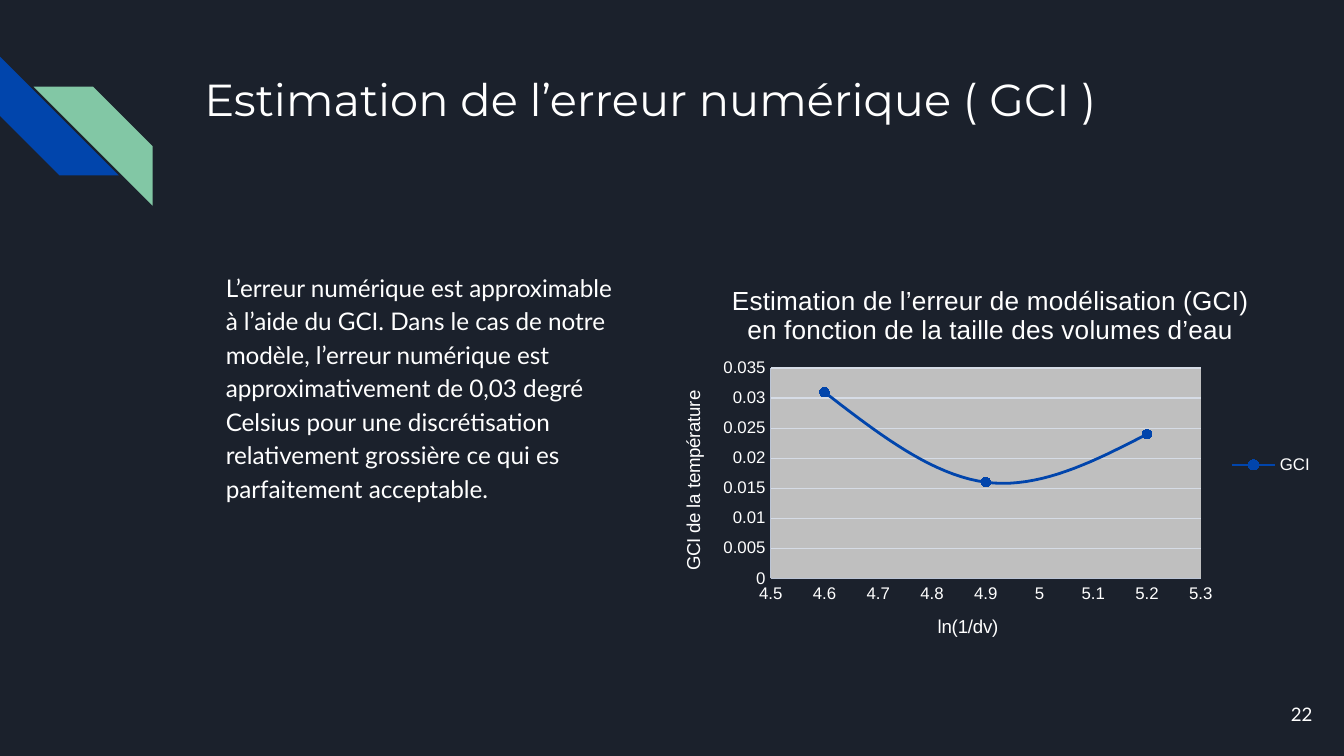
from dataclasses import dataclass

from lxml import etree
from pptx import Presentation
from pptx import util as u
from pptx.chart.data import XyChartData
from pptx.dml.color import RGBColor
from pptx.enum import chart as ch, shapes, text
from pptx.oxml import parse_xml
from pptx.oxml.ns import nsdecls, qn

SCALE = 4572  # EMU per px, 200 px to the inch


@dataclass(frozen=True)
class Theme:
    back: str = "1B212C"
    ink: str = "FFFFFF"
    blue: str = "0145AC"
    green: str = "82C7A5"
    plot: str = "BFBFBF"
    axis: str = "BBC4D5"
    grid: str = "D6DCE6"
    head: str = "Montserrat"
    body: str = "Lato"
    data: str = "Arial"
    title: int = 24
    para: int = 13
    page: int = 10
    chart: int = 14
    label: int = 10
    tick: int = 9


T = Theme()


def px(*vals):
    return [u.Emu(v * SCALE) for v in vals]


def paint(fill, color):
    fill.solid()
    fill.fore_color.rgb = RGBColor.from_string(color)


def style(font, face, size):
    font.name, font.size, font.bold = face, u.Pt(size), False
    font.color.rgb = RGBColor.from_string(T.ink)


def stroke(line, color, width):
    paint(line.fill, color)
    line.width = u.Pt(width)


def write(para, words, face, size):
    run = para.add_run()
    run.text = words
    style(run.font, face, size)


def frame(shape, box, anchor=text.MSO_ANCHOR.TOP):
    """Move a text shape to its box and return its text frame with even insets."""
    shape.left, shape.top, shape.width, shape.height = px(*box)
    tf = shape.text_frame
    tf.word_wrap = True
    tf.auto_size = text.MSO_AUTO_SIZE.NONE
    tf.vertical_anchor = anchor
    tf.margin_left, tf.margin_top, tf.margin_right, tf.margin_bottom = px(20, 20, 20, 20)
    return tf


def stripes(slide, box):
    left, top, size = box
    for dx, dy, turn, color in ((0, 0, 270, T.blue), (50, 45, 90, T.green)):
        band = slide.shapes.add_shape(
            shapes.MSO_SHAPE.DIAGONAL_STRIPE, *px(left + dx, top + dy, size, size))
        band.rotation = turn
        band.shadow.inherit = False
        paint(band.fill, color)
        band.line.fill.background()


def title(slide, box, words):
    para = frame(slide.shapes.title, box).paragraphs[0]
    para.alignment = text.PP_ALIGN.LEFT
    write(para, words, T.head, T.title)


def body(slide, box, paras):
    tf = frame(slide.placeholders[1], box)
    for i, words in enumerate(paras):
        para = tf.add_paragraph() if i else tf.paragraphs[0]
        para.alignment = text.PP_ALIGN.LEFT
        para.line_spacing = 1.15
        para.space_before = para.space_after = u.Pt(0)
        props = para._p.get_or_add_pPr()
        props.set("marL", str(32 * SCALE))
        props.set("indent", "0")
        etree.SubElement(props, qn("a:buNone"))
        write(para, words, T.body, T.para)


def number(slide, box, words):
    note = slide.shapes.add_textbox(*px(*box))
    para = frame(note, box, text.MSO_ANCHOR.MIDDLE).paragraphs[0]
    para.alignment = text.PP_ALIGN.RIGHT
    write(para, words, T.body, T.page)


def caption(owner, words, size):
    """Give a chart or an axis its title."""
    tf = owner.text_frame
    write(tf.paragraphs[0], words, T.data, size)
    return tf


def scale(axis, words, low, high, step):
    axis.minimum_scale, axis.maximum_scale, axis.major_unit = low, high, step
    axis.major_tick_mark = axis.minor_tick_mark = ch.XL_TICK_MARK.NONE
    axis.tick_labels.number_format = "General"
    axis.tick_labels.number_format_is_linked = False
    style(axis.tick_labels.font, T.data, T.tick)
    stroke(axis.format.line, T.axis, 0.75)
    return caption(axis.axis_title, words, T.label)


def plot(chart, box, size):
    """Fix the inner plot area, a box within the chart's size, and fill it."""
    area = chart._chartSpace.chart.plotArea
    for old in area.findall(qn("c:layout")):
        area.remove(old)
    shares = "".join(f'<c:{key} val="{val / size[i % 2]}"/>'
                     for i, (key, val) in enumerate(zip("xywh", box)))
    area.insert(0, parse_xml(
        f'<c:layout {nsdecls("c")}><c:manualLayout><c:layoutTarget val="inner"/>'
        f'<c:xMode val="edge"/><c:yMode val="edge"/>{shares}'
        '</c:manualLayout></c:layout>'))
    area.append(parse_xml(
        f'<c:spPr {nsdecls("c", "a")}><a:solidFill><a:srgbClr val="{T.plot}"/>'
        '</a:solidFill><a:ln><a:noFill/></a:ln></c:spPr>'))


def graph(slide, box, words, points):
    data = XyChartData()
    line = data.add_series("GCI")
    for x, y in points:
        line.add_data_point(x, y)
    chart = slide.shapes.add_chart(
        ch.XL_CHART_TYPE.XY_SCATTER_SMOOTH, *px(*box), data).chart
    style(chart.font, T.data, T.label)
    caption(chart.chart_title, words, T.chart)
    chart.chart_title.include_in_layout = False
    plot(chart, (173, 156, 640, 313), box[2:])

    chart.has_legend = True
    chart.legend.position = ch.XL_LEGEND_POSITION.RIGHT
    chart.legend.include_in_layout = False
    style(chart.legend.font, T.data, T.tick)

    scale(chart.category_axis, "ln(1/dv)", 4.5, 5.3, 0.1)
    chart.category_axis.has_major_gridlines = False
    side = scale(chart.value_axis, "GCI de la température", 0, 0.035, 0.005)
    side._txBody.bodyPr.set("rot", "-5400000")
    stroke(chart.value_axis.major_gridlines.format.line, T.grid, 0.75)

    chart.plots[0].vary_by_categories = False
    curve = chart.plots[0].series[0]
    curve._element.get_or_add_smooth().val = True
    stroke(curve.format.line, T.blue, 1.5)
    curve.marker.style, curve.marker.size = ch.XL_MARKER_STYLE.CIRCLE, 5
    paint(curve.marker.format.fill, T.blue)
    stroke(curve.marker.format.line, T.blue, 0.75)


def main():
    deck = Presentation()
    deck.slide_width, deck.slide_height = px(2000, 1125)
    slide = deck.slides.add_slide(deck.slide_layouts[1])
    paint(slide.background.fill, T.back)
    stripes(slide, (0, 84, 177))
    title(slide, (284, 87, 1540, 200), "Estimation de l’erreur numérique ( GCI )")
    body(slide, (284, 380, 658, 600), (
        "L’erreur numérique est approximable",
        "à l’aide du GCI. Dans le cas de notre modèle, l’erreur numérique est "
        "approximativement de 0,03 degré Celsius pour une discrétisation "
        "relativement grossière ce qui es parfaitement acceptable."))
    number(slide, (1853, 1020, 120, 86), "22")
    graph(slide, (974, 392, 1000, 600),
          "Estimation de l’erreur de modélisation (GCI) en fonction de la taille "
          "des volumes d’eau",
          ((4.6, 0.031), (4.9, 0.016), (5.2, 0.024)))
    deck.save("out.pptx")


if __name__ == "__main__":
    main()
